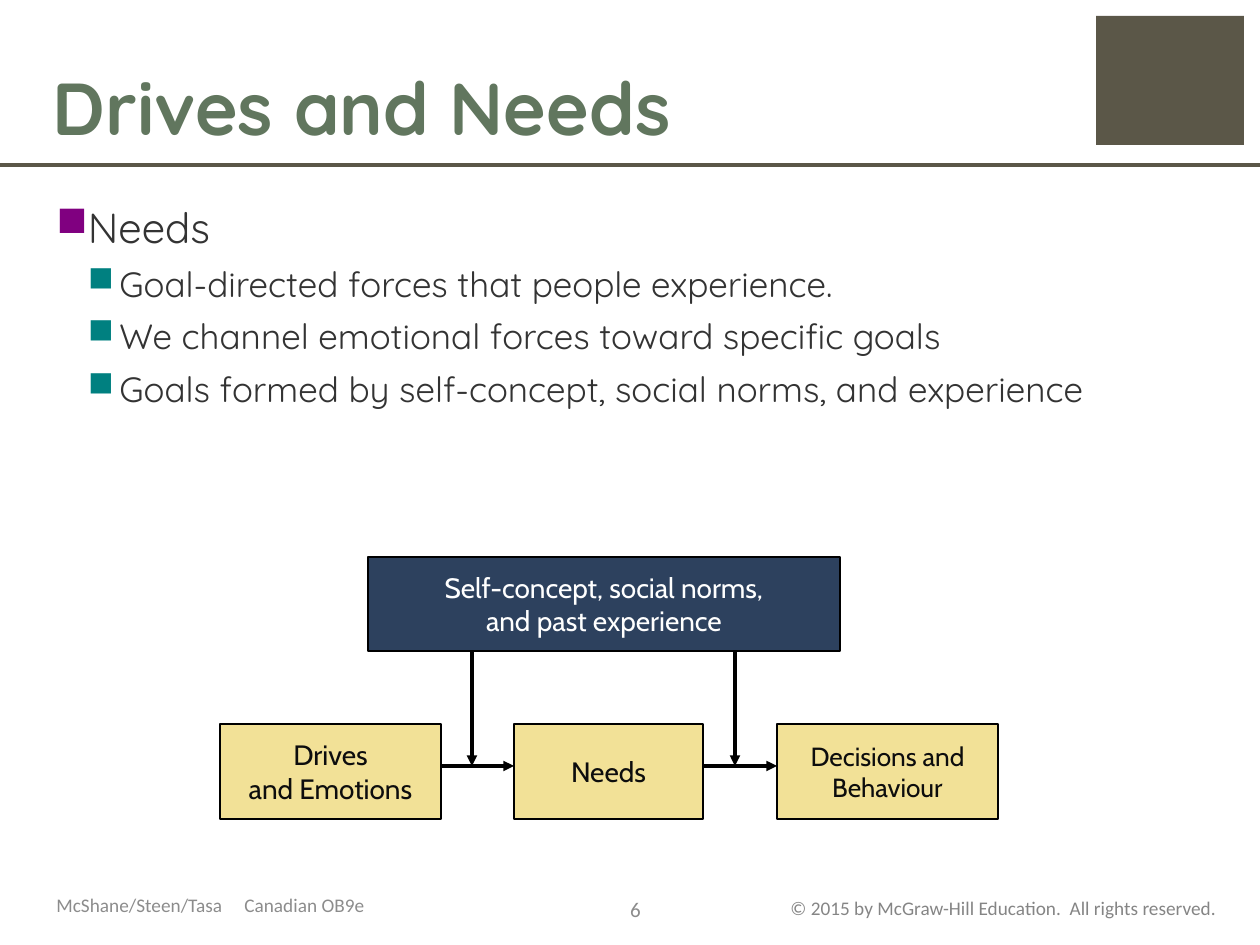
import pptx
import pptx.util
import pptx.dml.color
import pptx.enum.shapes
import pptx.enum.text
import pptx.oxml.ns
from lxml import etree

ALIGN = pptx.enum.text.PP_ALIGN
ANCHOR = pptx.enum.text.MSO_ANCHOR
RECT = pptx.enum.shapes.MSO_SHAPE.RECTANGLE
STRAIGHT = pptx.enum.shapes.MSO_CONNECTOR.STRAIGHT
qn = pptx.oxml.ns.qn

# Content
TITLE = "Drives and Needs"
BULLETS = [
    (0, "Needs"),
    (1, "Goal-directed forces that people experience."),
    (1, "We channel emotional forces toward specific goals"),
    (1, "Goals formed by self-concept, social norms, and experience"),
]
INFLUENCES = "Self-concept, social norms,\vand past experience"
STEPS = [  # text, left, width, type size
    ("Drives\nand Emotions", 220, 221, 16),
    ("Needs", 514, 189, 16),
    ("Decisions and Behaviour", 777, 221, 15),
]
FOOTER = "McShane/Steen/Tasa\tCanadian OB9e"
PAGE = "6"
COPYRIGHT = "© 2015 by McGraw-Hill Education.  All rights reserved."

THEME = {
    "heading": "Quicksand", "diagram": "Cabin", "small": "Calibri",
    "title": "61765E", "title_size": 42,
    "body": "333333", "levels": [(24, "800080"), (20, "008080")],
    "accent": "5B5748", "navy": "2D415E", "yellow": "F2E197",
    "black": "000000", "ink": "0D0D0D", "white": "FFFFFF",
    "grey": "8C8C8C", "copyright": "858585",
    "diagram_size": 16, "footer_size": 11, "page_size": 12,
}

# Geometry in px
SLIDE_W, SLIDE_H = 1260, 945
TOP_BOX = (368, 557, 472, 94)
STEP_TOP, STEP_H = 724, 95
FLOW_Y = 766
DROP_XS = (472, 735)
FOOT_TOP, FOOT_H = 890, 39


def px(n):
    return pptx.util.Emu(round(n * 914400 / 126))


def rgb(code):
    return pptx.dml.color.RGBColor.from_string(code)


def add_text(tf, text, size, color, font, bold=False, align=ALIGN.LEFT,
             anchor=ANCHOR.TOP, first=True):
    """Write one paragraph per line of text; return the last paragraph."""
    tf.word_wrap = True
    tf.vertical_anchor = anchor
    for i, line in enumerate(text.split("\n")):
        p = tf.paragraphs[0] if first and i == 0 else tf.add_paragraph()
        p.text = line
        p.alignment = align
        for r in p.runs:
            r.font.size = pptx.util.Pt(size)
            r.font.name = font
            r.font.bold = bold
            r.font.color.rgb = rgb(color)
    return p


def add_bullet(p, level, color):
    pPr = p._p.get_or_add_pPr()
    pPr.set("marL", str(px(31.5 * (level + 1))))
    pPr.set("indent", str(-px(31.5)))
    clr = etree.SubElement(pPr, qn("a:buClr"))
    etree.SubElement(clr, qn("a:srgbClr")).set("val", color)
    etree.SubElement(pPr, qn("a:buChar")).set("char", "■")


def add_box(s, box, fill, line=None):
    sp = s.shapes.add_shape(RECT, *map(px, box))
    sp.shadow.inherit = False
    sp.fill.solid()
    sp.fill.fore_color.rgb = rgb(fill)
    if line:
        sp.line.color.rgb = rgb(line)
        sp.line.width = pptx.util.Pt(0.75)
    else:
        sp.line.fill.background()
    return sp


def add_line(s, start, end, color, width, arrow=False):
    cxn = s.shapes.add_connector(STRAIGHT, *map(px, start + end))
    cxn.line.color.rgb = rgb(color)
    cxn.line.width = pptx.util.Pt(width)
    if arrow:
        etree.SubElement(cxn.line._get_or_add_ln(), qn("a:tailEnd")).set("type", "triangle")
    etree.SubElement(cxn._element.spPr, qn("a:effectLst"))


def text_frame(s, box):
    return s.shapes.add_textbox(*map(px, box)).text_frame


def main():
    t = THEME
    prs = pptx.Presentation()
    prs.slide_width, prs.slide_height = px(SLIDE_W), px(SLIDE_H)
    s = prs.slides.add_slide(prs.slide_layouts[5])

    # Corner block and rule
    add_box(s, (1096, 16, 148, 129), t["accent"])
    add_line(s, (0, 165), (SLIDE_W, 165), t["accent"], 2.5)

    # Title
    title = s.shapes.title
    title.left, title.top, title.width, title.height = map(px, (40, 16, 1046, 141))
    add_text(title.text_frame, TITLE, t["title_size"], t["title"], t["heading"],
             bold=True, anchor=ANCHOR.BOTTOM)

    # Bullets
    tf = text_frame(s, (44, 195, 1132, 377))
    for i, (level, text) in enumerate(BULLETS):
        size, color = t["levels"][level]
        p = add_text(tf, text, size, t["body"], t["heading"], first=i == 0)
        p.level = level
        add_bullet(p, level, color)
        if i:
            p.space_before = pptx.util.Pt(6)

    # Diagram boxes
    boxes = [(INFLUENCES, TOP_BOX, t["navy"], t["white"], t["diagram_size"])]
    boxes += [(text, (x, STEP_TOP, w, STEP_H), t["yellow"], t["ink"], size)
              for text, x, w, size in STEPS]
    for text, box, fill, color, size in boxes:
        sp = add_box(s, box, fill, t["black"])
        add_text(sp.text_frame, text, size, color, t["diagram"],
                 align=ALIGN.CENTER, anchor=ANCHOR.MIDDLE)

    # Arrows between steps, and down from the influences
    arrows = [((x + w, FLOW_Y), (following[1], FLOW_Y))
              for (_, x, w, _), following in zip(STEPS, STEPS[1:])]
    arrows += [((x, TOP_BOX[1] + TOP_BOX[3]), (x, FLOW_Y)) for x in DROP_XS]
    for start, end in arrows:
        add_line(s, start, end, t["black"], 2, arrow=True)

    # Footer
    p = add_text(text_frame(s, (44, FOOT_TOP, 507, FOOT_H)), FOOTER,
                 t["footer_size"], t["grey"], t["small"])
    p.line_spacing = 0.9
    tabs = etree.SubElement(p._p.get_or_add_pPr(), qn("a:tabLst"))
    tab = etree.SubElement(tabs, qn("a:tab"))
    tab.set("pos", str(px(188)))
    tab.set("algn", "l")
    add_text(text_frame(s, (581, FOOT_TOP, 109, FOOT_H)), PAGE, t["page_size"],
             t["grey"], t["small"], align=ALIGN.CENTER, anchor=ANCHOR.MIDDLE)
    add_text(text_frame(s, (764, FOOT_TOP, 465, FOOT_H)), COPYRIGHT, t["footer_size"],
             t["copyright"], t["small"], align=ALIGN.RIGHT)

    prs.save("out.pptx")


if __name__ == "__main__":
    main()
